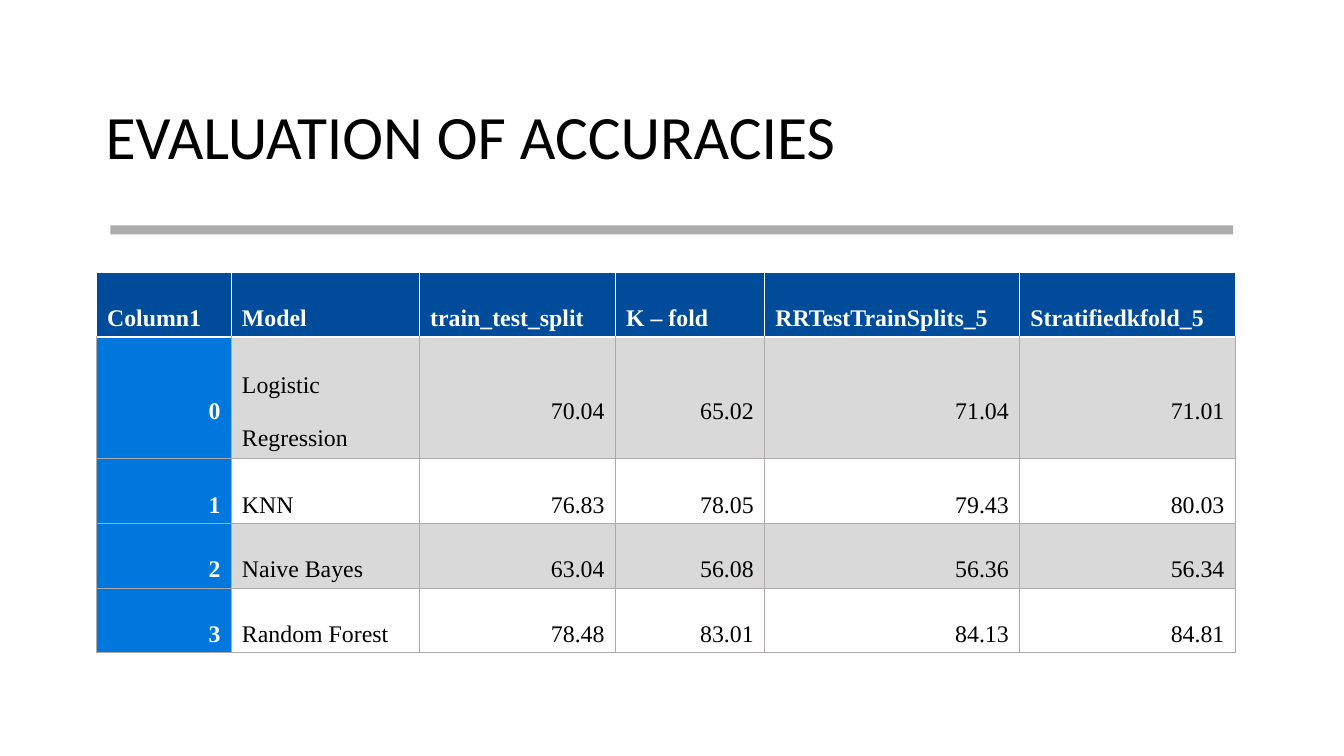
from lxml.etree import SubElement
from pptx import Presentation
from pptx.dml.color import RGBColor
from pptx.enum.shapes import MSO_SHAPE
from pptx.enum.text import MSO_ANCHOR, PP_ALIGN
from pptx.oxml import parse_xml
from pptx.oxml.ns import nsdecls, qn
from pptx.util import Pt

BLACK = RGBColor(0x00, 0x00, 0x00)
WHITE = RGBColor(0xFF, 0xFF, 0xFF)
RULE_GREY = RGBColor(0x80, 0x80, 0x80)
GRID_GREY = RGBColor(0xAE, 0xAA, 0xAA)
BAND_GREY = RGBColor(0xD9, 0xD9, 0xD9)
HEADER_BLUE = RGBColor(0x00, 0x4C, 0x9B)
INDEX_BLUE = RGBColor(0x00, 0x77, 0xDC)

HEADINGS = ["Column1", "Model", "train_test_split", "K – fold",
            "RRTestTrainSplits_5", "Stratifiedkfold_5"]
ACCURACIES = [
    ["0", "Logistic Regression", "70.04", "65.02", "71.04", "71.01"],
    ["1", "KNN", "76.83", "78.05", "79.43", "80.03"],
    ["2", "Naive Bayes", "63.04", "56.08", "56.36", "56.34"],
    ["3", "Random Forest", "78.48", "83.01", "84.13", "84.81"],
]
COLUMN_WIDTHS = [96.4, 134.4, 140, 106.6, 182.2, 154]
ROW_HEIGHTS = [46.2, 87, 46.2, 46.2, 46.2]
MODEL_COLUMN = 1


def style_run(paragraph, font_name, size, color, bold=False):
    font = paragraph.runs[0].font
    font.name = font_name
    font.size = Pt(size)
    font.bold = bold
    font.color.rgb = color


def add_title(slide, text):
    title = slide.shapes.add_textbox(Pt(68.4), Pt(47.5), Pt(823), Pt(104.4))
    frame = title.text_frame
    frame.word_wrap = True
    frame.vertical_anchor = MSO_ANCHOR.MIDDLE
    frame.text = text
    frame.paragraphs[0].line_spacing = 0.9
    style_run(frame.paragraphs[0], "Calibri", 44, BLACK)


def add_rule(slide):
    rule = slide.shapes.add_shape(
        MSO_SHAPE.RECTANGLE, Pt(78.8), Pt(161), Pt(802), Pt(6.5))
    rule.shadow.inherit = False
    rule.line.fill.background()
    rule.fill.solid()
    rule.fill.fore_color.rgb = RULE_GREY
    # 65 % opacity
    color = rule.fill._xPr.find(qn("a:solidFill"))[0]
    SubElement(color, qn("a:alpha")).set("val", "65000")


def set_borders(cell, borders):
    """Borders are (color, width) pairs for left, right, top and bottom."""
    properties = cell._tc.get_or_add_tcPr()
    for place, (side, (color, width)) in enumerate(zip("LRTB", borders)):
        properties.insert(place, parse_xml(
            f'<a:ln{side} {nsdecls("a")} w="{Pt(width)}"><a:solidFill>'
            f'<a:srgbClr val="{color}"/></a:solidFill></a:ln{side}>'))


def fill_cell(cell, text, fill, color, bold, align):
    cell.vertical_anchor = MSO_ANCHOR.MIDDLE
    cell.margin_left = cell.margin_right = Pt(7.7)
    cell.margin_top, cell.margin_bottom = Pt(0.8), Pt(0)
    if fill is None:
        cell.fill.background()
    else:
        cell.fill.solid()
        cell.fill.fore_color.rgb = fill
    cell.text_frame.text = text
    paragraph = cell.text_frame.paragraphs[0]
    paragraph.alignment = align
    paragraph.line_spacing = 2.0
    style_run(paragraph, "Times New Roman", 17, color, bold)


def add_accuracy_table(slide):
    rows = [HEADINGS] + ACCURACIES
    table = slide.shapes.add_table(
        len(rows), len(HEADINGS), Pt(68.8), Pt(194.6),
        Pt(sum(COLUMN_WIDTHS)), Pt(sum(ROW_HEIGHTS))).table
    table.first_col = True
    for column, width in zip(table.columns, COLUMN_WIDTHS):
        column.width = Pt(width)
    for row, height in zip(table.rows, ROW_HEIGHTS):
        row.height = Pt(height)

    thin_white, thick_white, grid = (WHITE, 1), (WHITE, 2.25), (GRID_GREY, 1)
    for r, values in enumerate(rows):
        for c, value in enumerate(values):
            is_header, is_index = r == 0, c == 0
            # Header row, index column, then alternating bands
            if is_header:
                fill = HEADER_BLUE
                borders = [thin_white] * 3 + [thick_white]
            else:
                band = BAND_GREY if r % 2 else None
                fill = INDEX_BLUE if is_index else band
                borders = [grid, grid, thick_white if r == 1 else grid, grid]
            strong = is_header or is_index
            left = is_header or c == MODEL_COLUMN
            cell = table.cell(r, c)
            fill_cell(cell, value, fill, WHITE if strong else BLACK, strong,
                      PP_ALIGN.LEFT if left else PP_ALIGN.RIGHT)
            set_borders(cell, borders)


def main():
    presentation = Presentation()
    presentation.slide_width, presentation.slide_height = Pt(960), Pt(540)
    slide = presentation.slides.add_slide(presentation.slide_layouts[6])
    add_title(slide, "EVALUATION OF ACCURACIES")
    add_rule(slide)
    add_accuracy_table(slide)
    presentation.save("out.pptx")


if __name__ == "__main__":
    main()
